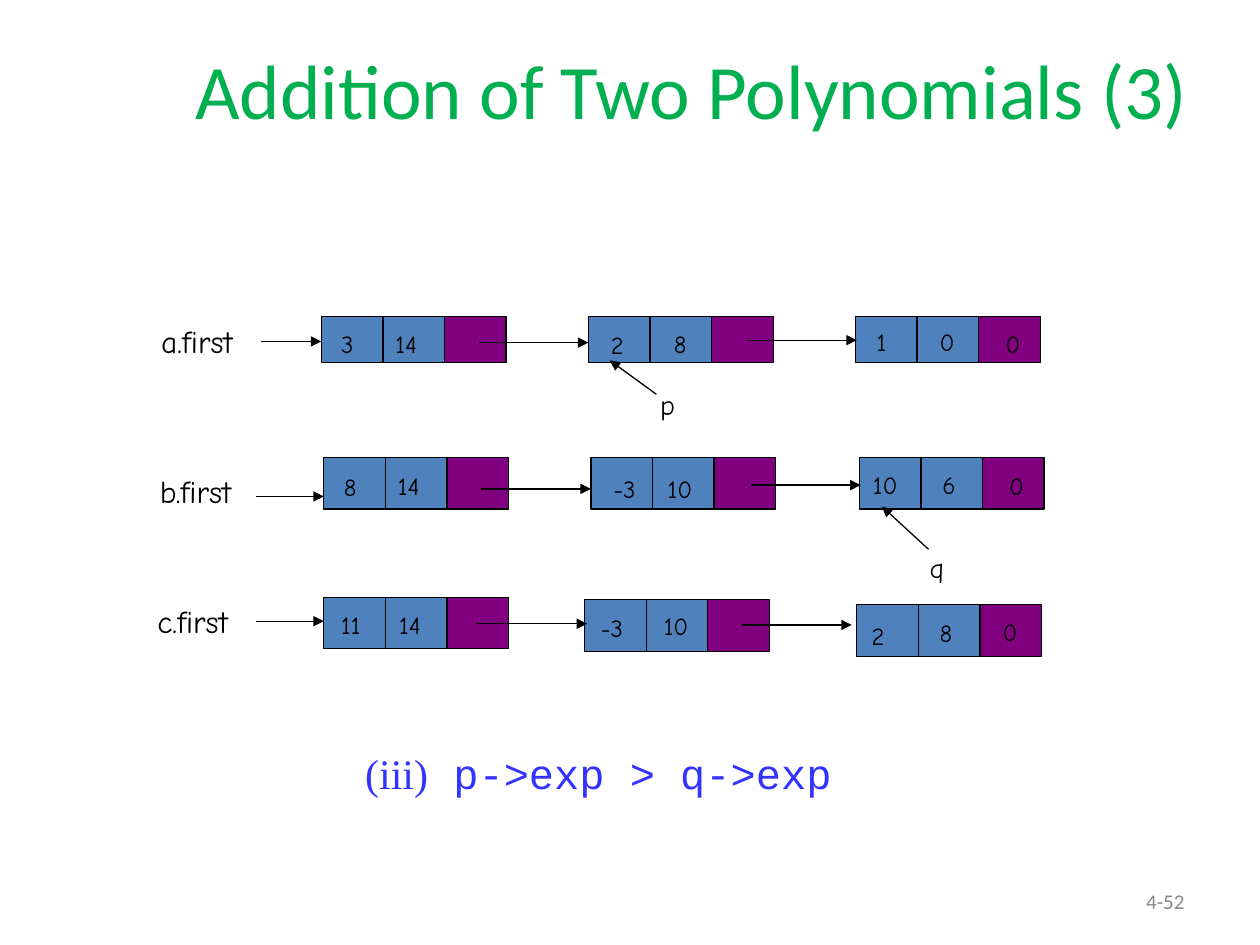
"""Build a slide showing the third step of adding two linked-list polynomials."""
from dataclasses import dataclass

from lxml.etree import SubElement
from pptx import Presentation
from pptx.dml.color import RGBColor
from pptx.enum.shapes import MSO_CONNECTOR, MSO_SHAPE
from pptx.enum.text import MSO_ANCHOR, MSO_AUTO_SIZE, PP_ALIGN
from pptx.oxml.ns import qn
from pptx.util import Inches, Pt


@dataclass(frozen=True)
class Theme:
    title: RGBColor = RGBColor.from_string("00B050")
    data: RGBColor = RGBColor.from_string("4F81BD")
    link: RGBColor = RGBColor.from_string("800080")
    ink: RGBColor = RGBColor.from_string("000000")
    condition: RGBColor = RGBColor.from_string("3333FF")
    page: RGBColor = RGBColor.from_string("888888")
    heading_font: str = "Calibri"
    diagram_font: str = "Comic Neue"
    prose_font: str = "Times New Roman"
    code_font: str = "Courier New"
    title_size: int = 44
    condition_size: int = 24
    label_size: int = 18
    pointer_size: int = 16
    value_size: int = 14
    page_size: int = 12
    line_width: float = 0.75


theme = Theme()
presentation = Presentation()
presentation.slide_width, presentation.slide_height = Inches(10), Inches(7.5)
slide = presentation.slides.add_slide(presentation.slide_layouts[6])
column = presentation.slide_width / 100
row = presentation.slide_height / 75


def add_text(text, *, left, top, width, height, size, color=theme.ink,
             font=theme.diagram_font, code="", align=PP_ALIGN.LEFT,
             anchor=MSO_ANCHOR.TOP, grow=True):
    shape = slide.shapes.add_textbox(
        round(left * column), round(top * row), round(width * column), round(height * row))
    frame = shape.text_frame
    frame.word_wrap = True
    frame.auto_size = MSO_AUTO_SIZE.SHAPE_TO_FIT_TEXT if grow else MSO_AUTO_SIZE.NONE
    frame.vertical_anchor = anchor
    paragraph = frame.paragraphs[0]
    paragraph.alignment = align
    for words, face in ((text, font), (code, theme.code_font)):
        if words:
            run = paragraph.add_run()
            run.text = words
            run.font.name = face
            run.font.size = Pt(size)
            run.font.color.rgb = color


def add_arrow(start_x, start_y, end_x, end_y):
    connector = slide.shapes.add_connector(
        MSO_CONNECTOR.STRAIGHT, round(start_x * column), round(start_y * row),
        round(end_x * column), round(end_y * row))
    connector.line.color.rgb = theme.ink
    connector.line.width = Pt(theme.line_width)
    properties = connector.element.spPr
    SubElement(properties.find(qn("a:ln")), qn("a:tailEnd"), type="triangle")
    SubElement(properties, qn("a:effectLst"))


add_text("Addition of Two Polynomials (3)", left=11.5, top=2.4, width=86.8, height=8.8,
         size=theme.title_size, color=theme.title, font=theme.heading_font,
         align=PP_ALIGN.CENTER, anchor=MSO_ANCHOR.BOTTOM, grow=False)

labels = (("a.first", 11.8, 25.1), ("b.first", 11.7, 37), ("c.first", 11.5, 47.3))
for label, left, top in labels:
    add_text(label, left=left, top=top, width=11.2, height=4, size=theme.label_size)

# Each node: left, top, height, then its values as (text, left, top).
nodes = (
    (25.5, 25.1, 3.7, (("3", 26.1, 25.6), ("14", 30.4, 25.6))),
    (46.7, 25.1, 3.7, (("2", 47.5, 25.7), ("8", 52.5, 25.6))),
    (67.9, 25.1, 3.7, (("1", 68.6, 25.5), ("0", 73.6, 25.5), ("0", 78.8, 25.6))),
    (25.7, 36.3, 4.1, (("8", 26.3, 37), ("14", 30.6, 36.9))),
    (46.9, 36.3, 4.1, (("-3", 47.7, 37.1), ("10", 52, 37.1))),
    (68.2, 36.3, 4.1, (("10", 68.3, 36.8), ("6", 73.8, 36.8), ("0", 79.1, 36.9))),
    (25.7, 47.4, 4.1, (("11", 26.1, 47.9), ("14", 30.7, 47.9))),
    (46.4, 47.6, 4.1, (("-3", 46.7, 48.2), ("10", 51.7, 48))),
    (68, 48, 4.1, (("2", 68.2, 48.8), ("8", 73.6, 48.6), ("0", 78.6, 48.5))),
)
cell_width = 4.89
for left, top, height, values in nodes:
    group = slide.shapes.add_group_shape()
    for index, fill in enumerate((theme.data, theme.data, theme.link)):
        cell = group.shapes.add_shape(
            MSO_SHAPE.RECTANGLE, round((left + index * cell_width) * column),
            round(top * row), round(cell_width * column), round(height * row))
        cell.shadow.inherit = False
        cell.fill.solid()
        cell.fill.fore_color.rgb = fill
        cell.line.color.rgb = theme.ink
        cell.line.width = Pt(theme.line_width)
    for value, value_left, value_top in values:
        add_text(value, left=value_left, top=value_top, height=3.3,
                 width=2.8 if len(value) == 1 else 4.6, size=theme.value_size)

links = (
    (20.7, 25.5, 27.1), (38, 46.7, 27.2), (59.3, 68, 27),
    (20.3, 25.7, 39.4), (38.2, 46.9, 38.8), (59.6, 68.3, 38.5),
    (20.3, 25.7, 49.3), (37.8, 46.6, 49.5), (58.9, 67.6, 49.6),
)
for start, end, height in links:
    add_arrow(start, height, end, height)

pointers = (("p", 51.4, 30.3, (52.1, 31.3, 48.4, 28.6)),
            ("q", 72.8, 43.2, (73.7, 43.6, 70, 40.2)))
for name, left, top, arrow in pointers:
    add_text(name, left=left, top=top, width=2.8, height=3.7, size=theme.pointer_size)
    add_arrow(*arrow)

add_text("(iii)", code=" p->exp > q->exp", left=28, top=58.8, width=48, height=5,
         size=theme.condition_size, color=theme.condition, font=theme.prose_font)
add_text("4-52", left=71.7, top=69.5, width=23.3, height=4, size=theme.page_size,
         color=theme.page, font=theme.heading_font, align=PP_ALIGN.RIGHT,
         anchor=MSO_ANCHOR.MIDDLE, grow=False)

presentation.save("out.pptx")
